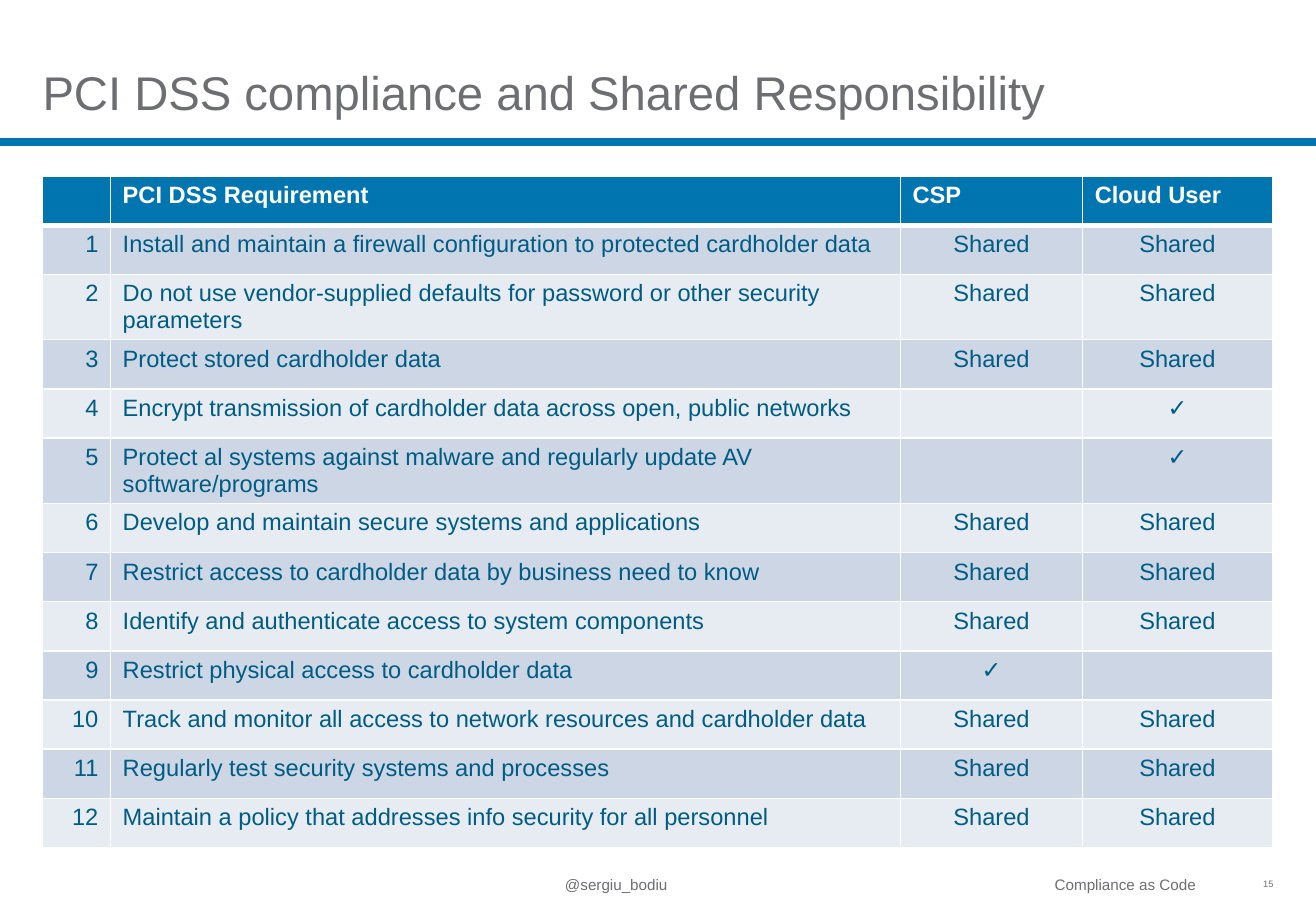
import pptx
import pptx.dml.color
import pptx.enum.shapes
import pptx.enum.text
import pptx.oxml.ns
import pptx.util
from lxml import etree

PX = 914400 // 200
SLIDE_W, SLIDE_H = 2166, 1500
MARGIN = 70
BLUE, TEXT_BLUE, GREY, WHITE = "0075B0", "005C84", "6D6E71", "FFFFFF"
BANDS = ["CCD6E4", "E7ECF2"]
ALIGN = pptx.enum.text.PP_ALIGN
ANCHOR = pptx.enum.text.MSO_ANCHOR

HEADINGS = ["", "PCI DSS Requirement", "CSP", "Cloud User"]
SHARED, DONE = "Shared", "✓"
REQUIREMENTS = [
    ("Install and maintain a firewall configuration to protected cardholder data", SHARED, SHARED),
    ("Do not use vendor-supplied defaults for password or other security parameters", SHARED, SHARED),
    ("Protect stored cardholder data", SHARED, SHARED),
    ("Encrypt transmission of cardholder data across open, public networks", "", DONE),
    ("Protect al systems against malware and regularly update AV software/programs", "", DONE),
    ("Develop and maintain secure systems and applications", SHARED, SHARED),
    ("Restrict access to cardholder data by business need to know", SHARED, SHARED),
    ("Identify and authenticate access to system components", SHARED, SHARED),
    ("Restrict physical access to cardholder data", DONE, ""),
    ("Track and monitor all access to network resources and cardholder data", SHARED, SHARED),
    ("Regularly test security systems and processes", SHARED, SHARED),
    ("Maintain a policy that addresses info security for all personnel", SHARED, SHARED),
]


def px(length):
    return pptx.util.Emu(length * PX)


def color(value):
    return pptx.dml.color.RGBColor.from_string(value)


def write(frame, text, size=14, fill=GREY, bold=False, align=ALIGN.LEFT, spacing=None):
    paragraph = frame.paragraphs[0]
    paragraph.alignment = align
    paragraph.line_spacing = spacing
    paragraph.font.size = pptx.util.Pt(size)
    if text:
        run = paragraph.add_run()
        run.text = text
        run.font.name = "Arial"
        run.font.size = pptx.util.Pt(size)
        run.font.bold = bold
        run.font.color.rgb = color(fill)


def set_frame(frame, anchor, right=0):
    frame.word_wrap = True
    frame.auto_size = pptx.enum.text.MSO_AUTO_SIZE.NONE
    frame.vertical_anchor = anchor
    frame.margin_left = frame.margin_top = frame.margin_bottom = 0
    frame.margin_right = px(right)


def add_heading(slide, left, top, width, height):
    title = slide.shapes.title
    title.left, title.top, title.width, title.height = map(px, (left, top, width, height))
    set_frame(title.text_frame, ANCHOR.BOTTOM)
    write(title.text_frame, "PCI DSS compliance and Shared Responsibility", size=28, spacing=0.9)


def add_rule(slide, y):
    rule = slide.shapes.add_connector(
        pptx.enum.shapes.MSO_CONNECTOR.STRAIGHT, 0, px(y), px(SLIDE_W), px(y))
    rule.line.color.rgb = color(BLUE)
    rule.line.width = pptx.util.Pt(4.5)
    etree.SubElement(rule._element.spPr, pptx.oxml.ns.qn("a:effectLst"))


def set_borders(cell, **widths):
    properties = cell._tc.get_or_add_tcPr()
    for side in "LRTB":
        line = etree.SubElement(properties, pptx.oxml.ns.qn(f"a:ln{side}"),
                                w=str(pptx.util.Pt(widths.get(side, 1))))
        solid = etree.SubElement(line, pptx.oxml.ns.qn("a:solidFill"))
        etree.SubElement(solid, pptx.oxml.ns.qn("a:srgbClr"), val=WHITE)


def add_requirements(slide, left, top, columns, row_height):
    rows = [HEADINGS] + [(str(n), *row) for n, row in enumerate(REQUIREMENTS, 1)]
    table = slide.shapes.add_table(len(rows), len(columns), px(left), px(top),
                                   px(sum(columns)), px(row_height * len(rows))).table
    for column, width in zip(table.columns, columns):
        column.width = px(width)
    aligns = [ALIGN.RIGHT, ALIGN.LEFT, ALIGN.CENTER, ALIGN.CENTER]
    for r, row in enumerate(rows):
        table.rows[r].height = px(row_height)
        header = r == 0
        for c, text in enumerate(row):
            cell = table.cell(r, c)
            set_borders(cell, B=3 if header else 1, T=3 if r == 1 else 1)
            cell.fill.solid()
            cell.fill.fore_color.rgb = color(BLUE if header else BANDS[(r - 1) % 2])
            write(cell.text_frame, text, bold=header, fill=WHITE if header else TEXT_BLUE,
                  align=ALIGN.LEFT if header else aligns[c])


def add_footer(slide, top, height):
    # Text, left, width, right inset, size, alignment
    for text, left, width, inset, size, align in [
        ("@sergiu_bodiu", 930, 288, 30, 9, ALIGN.LEFT),
        ("Compliance as Code", 1238, 760, 30, 9, ALIGN.RIGHT),
        ("15", 2018, 78, 0, 5.5, ALIGN.RIGHT),
    ]:
        note = slide.shapes.add_textbox(px(left), px(top), px(width), px(height))
        set_frame(note.text_frame, ANCHOR.MIDDLE, right=inset)
        write(note.text_frame, text, size=size, align=align)


def main():
    deck = pptx.Presentation()
    deck.slide_width, deck.slide_height = px(SLIDE_W), px(SLIDE_H)
    slide = deck.slides.add_slide(deck.slide_layouts[5])

    # Heading and rule
    add_heading(slide, MARGIN, 44, SLIDE_W - 2 * MARGIN, 154)
    add_rule(slide, 234)

    # Responsibility table
    add_requirements(slide, MARGIN, 290, [112, 1300, 300, 312], 81)

    # Footer
    add_footer(slide, 1428, 56)
    deck.save("out.pptx")


if __name__ == "__main__":
    main()
